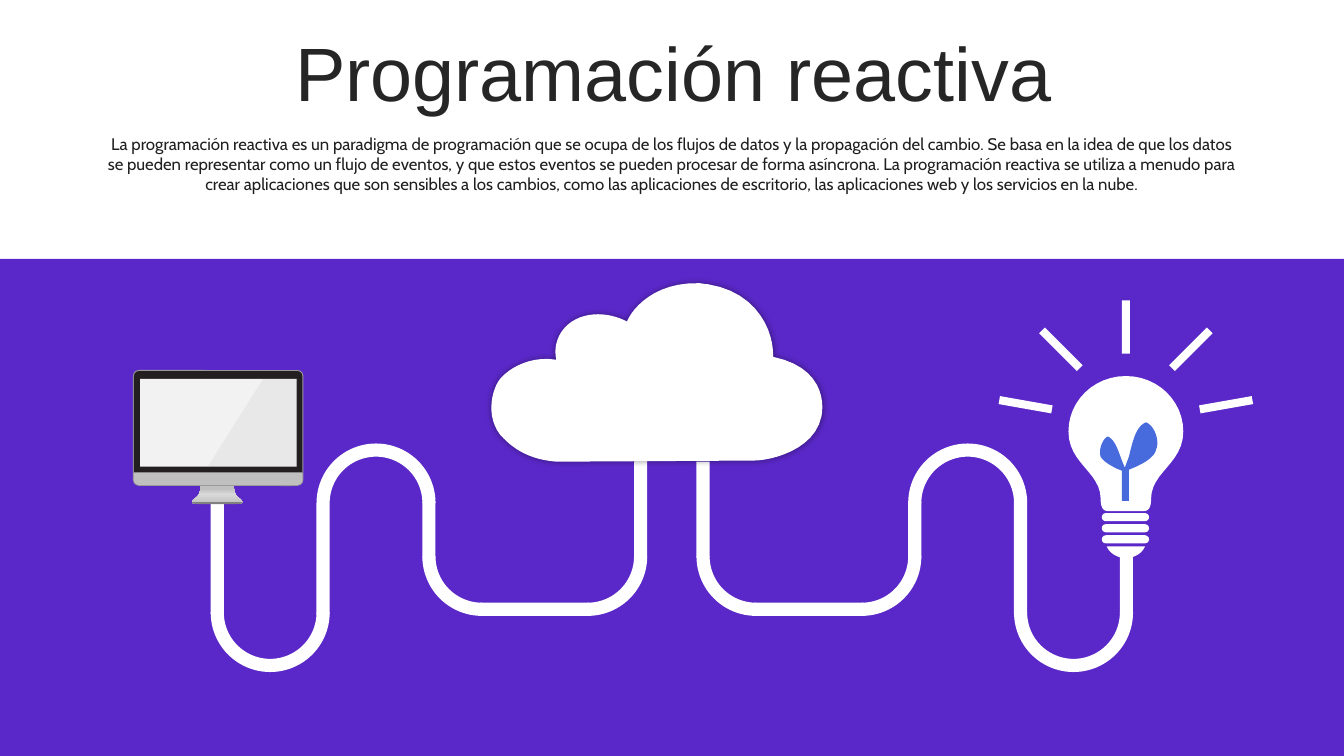
from lxml import etree
from pptx import Presentation
from pptx.dml.color import RGBColor
from pptx.enum.shapes import MSO_SHAPE as SHAPE
from pptx.enum.text import MSO_ANCHOR as ANCHOR, MSO_AUTO_SIZE as AUTO_SIZE, PP_ALIGN as ALIGN
from pptx.oxml.ns import qn
from pptx.util import Pt

# Content
TITLE = "Programación reactiva"
SUMMARY = (
    "La programación reactiva es un paradigma de programación que se ocupa de los flujos de "
    "datos y la propagación del cambio. Se basa en la idea de que los datos se pueden "
    "representar como un flujo de eventos, y que estos eventos se pueden procesar de forma "
    "asíncrona. La programación reactiva se utiliza a menudo para crear aplicaciones que son "
    "sensibles a los cambios, como las aplicaciones de escritorio, las aplicaciones web y los "
    "servicios en la nube."
)

# Colours
WHITE = RGBColor(0xFF, 0xFF, 0xFF)
TITLE_GREY = RGBColor(0x26, 0x26, 0x26)
TEXT_GREY = RGBColor(0x1F, 0x1F, 0x1F)
PURPLE = RGBColor(0x5A, 0x28, 0xC8)
LEAF_BLUE = RGBColor(0x47, 0x6A, 0xDD)
BEZEL_BLACK = RGBColor(0x23, 0x1F, 0x20)
CASE_GREY = RGBColor(0x99, 0x99, 0x99)
FOOT_GREY = RGBColor(0x80, 0x80, 0x80)
CHIN_GREY = RGBColor(0xBF, 0xBF, 0xBF)
STAND_GREY = RGBColor(0xD9, 0xD9, 0xD9)
SCREEN_GREY = RGBColor(0xF2, 0xF2, 0xF2)

# Outlines in points: a pair is a corner, six numbers are a Bézier curve.
# The bulb, its cap, the stand and its foot give the right half only.
BULB_AXIS, MONITOR_AXIS = 804.2, 155.2
BULB = [(804.2, 268.6), (827.2, 268.6, 845.2, 286.6, 845.2, 308.2),
        (845.2, 331.2, 822.2, 337, 822.2, 356.4), (822.2, 362, 820.7, 365, 817.2, 365)]
CAP = [(804.2, 390.2), (817.9, 390.2), (815.8, 395.3, 810.7, 398.2, 804.2, 398.9)]
STAND = [(155.2, 347), (167, 347), (167, 347, 167, 352.8, 169.9, 355),
         (172.8, 357.1, 176.4, 360, 169.9, 360), (155.2, 360)]
FOOT = [(155.2, 358.6), (173.2, 358.6), (173.2, 359.5, 172, 360, 169.2, 360), (155.2, 360)]
GLARE = [(187.9, 270.7), (212.4, 270.7), (211.7, 333.4), (148.3, 333.4)]
SPROUT = [(818.6, 301.7), (824.4, 303.8, 828.7, 314.6, 825.8, 321.1),
          (825.1, 325.4, 819.4, 329.8, 811.4, 333.4), (806.4, 335.5), (806.4, 357.8),
          (801.4, 357.8), (801.4, 336.2), (797.8, 334.8),
          (792, 331.9, 787.7, 329, 786.2, 326.2), (784.8, 321.8, 787, 313.9, 791.3, 311.8),
          (796.3, 313.9, 798.5, 321.1, 801.4, 329), (803.5, 334.1), (806.4, 326.2),
          (809.3, 314.6, 811.4, 304.6, 818.6, 301.7)]
CLOUD = [(499, 202.3), (501.1, 202.3, 503.3, 203, 505.4, 203),
         (542.2, 208.8, 553, 238.3, 552.2, 254.9), (586.8, 262.1, 589, 285.8, 586.8, 297.4),
         (581.8, 321.8, 550.1, 329, 538.6, 329), (397.4, 329.8),
         (379.4, 328.3, 367.2, 321.8, 357.1, 310.3), (347.8, 298.1, 350.6, 281.5, 355.7, 272.9),
         (359.3, 266.4, 375.8, 253.4, 397.4, 257), (394.6, 244.8, 401, 233.3, 411.1, 228.2),
         (423.4, 221.8, 438.5, 224.6, 447.8, 229.7), (452.2, 219.6, 468, 201.6, 499, 202.3)]

# Rays: distance from the bulb's axis, height of the middle, turn in degrees
RAYS = [(0, 233.6, 0), (46.4, 249.5, 45), (71.6, 289.1, 80)]
RAY_W, RAY_H = 5.8, 38.2

# Cables: middle of the first upright, direction, its top, top of the last upright
CABLES = [(804.6, -1, 397.4, 329.8), (155.2, 1, 343.4, 326.2)]
TUBE, PITCH = 9.4, 75.6
BEND = PITCH + TUBE
DIP_Y, PEAK_Y, FLOOR_Y = 437.5, 359.3, 397.4    # centres of the bends

prs = Presentation()
prs.slide_width, prs.slide_height = Pt(960), Pt(540)
slide = prs.slides.add_slide(prs.slide_layouts[5])
shapes = slide.shapes


def paint(part, colour):
    part.shadow.inherit = False
    part.fill.solid()
    part.fill.fore_color.rgb = colour
    part.line.fill.background()
    return part


def preset(kind, x, y, w, h, colour=WHITE, adjust=(), turn=0):
    part = paint(shapes.add_shape(kind, Pt(x), Pt(y), Pt(w), Pt(h)), colour)
    for i, value in enumerate(adjust):
        part.adjustments[i] = value
    part.rotation = turn
    return part


def outline(path, colour=WHITE, axis=None, steps=12):
    points = [path[0]]
    for step in path[1:]:
        if len(step) == 2:
            points.append(step)
            continue
        x0, y0 = points[-1]
        x1, y1, x2, y2, x3, y3 = step
        for t in (i / steps for i in range(1, steps + 1)):
            a, b, c, d = (1 - t) ** 3, 3 * t * (1 - t) ** 2, 3 * t * t * (1 - t), t ** 3
            points.append((a * x0 + b * x1 + c * x2 + d * x3, a * y0 + b * y1 + c * y2 + d * y3))
    if axis is not None:
        points += [(2 * axis - x, y) for x, y in reversed(points)]
    corners = [(Pt(x), Pt(y)) for x, y in points]
    builder = shapes.build_freeform(*corners[0])
    builder.add_line_segments(corners[1:], close=True)
    return paint(builder.convert_to_shape(), colour)


def add_xml(parent, tag, **attributes):
    return etree.SubElement(parent, qn(tag), {k: str(v) for k, v in attributes.items()})


def write(box, text, *, at, font, size, colour, anchor=ANCHOR.TOP, top=3.6, before=0, spacing=1.0):
    box.left, box.top, box.width, box.height = (Pt(v) for v in at)
    frame = box.text_frame
    frame.word_wrap, frame.auto_size = True, AUTO_SIZE.NONE
    frame.vertical_anchor, frame.margin_top = anchor, Pt(top)
    para = frame.paragraphs[0]
    para.alignment, para.space_before, para.line_spacing = ALIGN.CENTER, Pt(before), spacing
    run = para.add_run()
    run.text = text
    run.font.name, run.font.size, run.font.color.rgb = font, Pt(size), colour


def upright(middle, top, bottom):
    preset(SHAPE.RECTANGLE, middle - TUBE / 2, top, TUBE, bottom - top)


def bend(a, b, centre_y, start, end):
    """Arc between two uprights, clockwise from start to end in degrees."""
    preset(SHAPE.BLOCK_ARC, min(a, b) - TUBE / 2, centre_y - BEND / 2, BEND, BEND,
           adjust=(start * 0.6, end * 0.6, TUBE / BEND))


# Title and background band
write(shapes.title, TITLE, at=(25.2, 26.6, 911.5, 56.9), font="Arial", size=54,
      colour=TITLE_GREY, anchor=ANCHOR.MIDDLE, before=10, spacing=0.9)
preset(SHAPE.RECTANGLE, 0, 185, 960, 355, PURPLE)

# Light bulb with rays
for i in range(3):
    preset(SHAPE.ROUNDED_RECTANGLE, 787, 366.5 + 7.9 * i, 33.8, 5.8, adjust=(0.5,))
outline(CAP, axis=BULB_AXIS)
outline(BULB, axis=BULB_AXIS)
for offset, middle_y, turn in RAYS:
    for side in (-1, 1) if offset else (1,):
        preset(SHAPE.RECTANGLE, BULB_AXIS + side * offset - RAY_W / 2, middle_y - RAY_H / 2,
               RAY_W, RAY_H, turn=side * turn)

# Summary
write(shapes.add_textbox(0, 0, 0, 0), SUMMARY, at=(66.2, 77.8, 828, 65.5), font="Cabin",
      size=12, colour=TEXT_GREY, top=17.4)
outline(SPROUT, LEAF_BLUE)

# Cables
for start, way, first_top, last_top in CABLES:
    c0, c1, c2, c3, c4 = (start + way * PITCH * i for i in range(5))
    upright(c0, first_top, DIP_Y + 1)
    bend(c0, c1, DIP_Y, 0, 180)
    upright(c1, PEAK_Y, DIP_Y + 1)
    bend(c1, c2, PEAK_Y, 180, 0)
    upright(c2, PEAK_Y - 1, FLOOR_Y + 1)
    left_quarter, right_quarter = (90, 180), (0, 90)
    near, far = (left_quarter, right_quarter)[::way]
    bend(c2, c3, FLOOR_Y, *near)
    preset(SHAPE.RECTANGLE, min(c2, c4) + PITCH / 2 - 1, FLOOR_Y + BEND / 2 - TUBE,
           PITCH + 2, TUBE)
    bend(c3, c4, FLOOR_Y, *far)
    upright(c4, last_top, FLOOR_Y + 1)

# Monitor
stand = outline(STAND, STAND_GREY, axis=MONITOR_AXIS)
stand.fill.gradient()
stand.fill.gradient_angle = 90
stops = stand._element.spPr.find(qn("a:gradFill")).find(qn("a:gsLst"))
for stop in list(stops):
    stops.remove(stop)
for place, grey in ((0, CHIN_GREY), (53, STAND_GREY), (83, CHIN_GREY), (100, CHIN_GREY)):
    add_xml(add_xml(stops, "a:gs", pos=place * 1000), "a:srgbClr", val=grey)
preset(SHAPE.ROUNDED_RECTANGLE, 95, 264.3, 121.7, 82.7, CASE_GREY, adjust=(0.05,))
preset(SHAPE.RECTANGLE, 200.9, 346.3, 7.2, 1, CASE_GREY)
preset(SHAPE.ROUND_2_SAME_RECTANGLE, 95.7, 265, 120.3, 72.7, BEZEL_BLACK, adjust=(0.05, 0))
outline(FOOT, FOOT_GREY, axis=MONITOR_AXIS)
preset(SHAPE.ROUND_2_SAME_RECTANGLE, 95.7, 337.4, 120.3, 9, CHIN_GREY, adjust=(0, 0.4))
preset(SHAPE.RECTANGLE, 100.1, 270.7, 111.8, 62.6, SCREEN_GREY)
glare = outline(GLARE, CASE_GREY)
add_xml(glare._element.spPr.find(qn("a:solidFill"))[0], "a:alpha", val=10000)

# Cloud with a soft shadow
cloud = outline(CLOUD)
shadow = add_xml(cloud._element.spPr.find(qn("a:effectLst")), "a:outerShdw",
                 blurRad=Pt(5), dist=0, dir=0, algn="ctr", rotWithShape=0)
add_xml(add_xml(shadow, "a:srgbClr", val="000000"), "a:alpha", val=40000)

prs.save("out.pptx")
